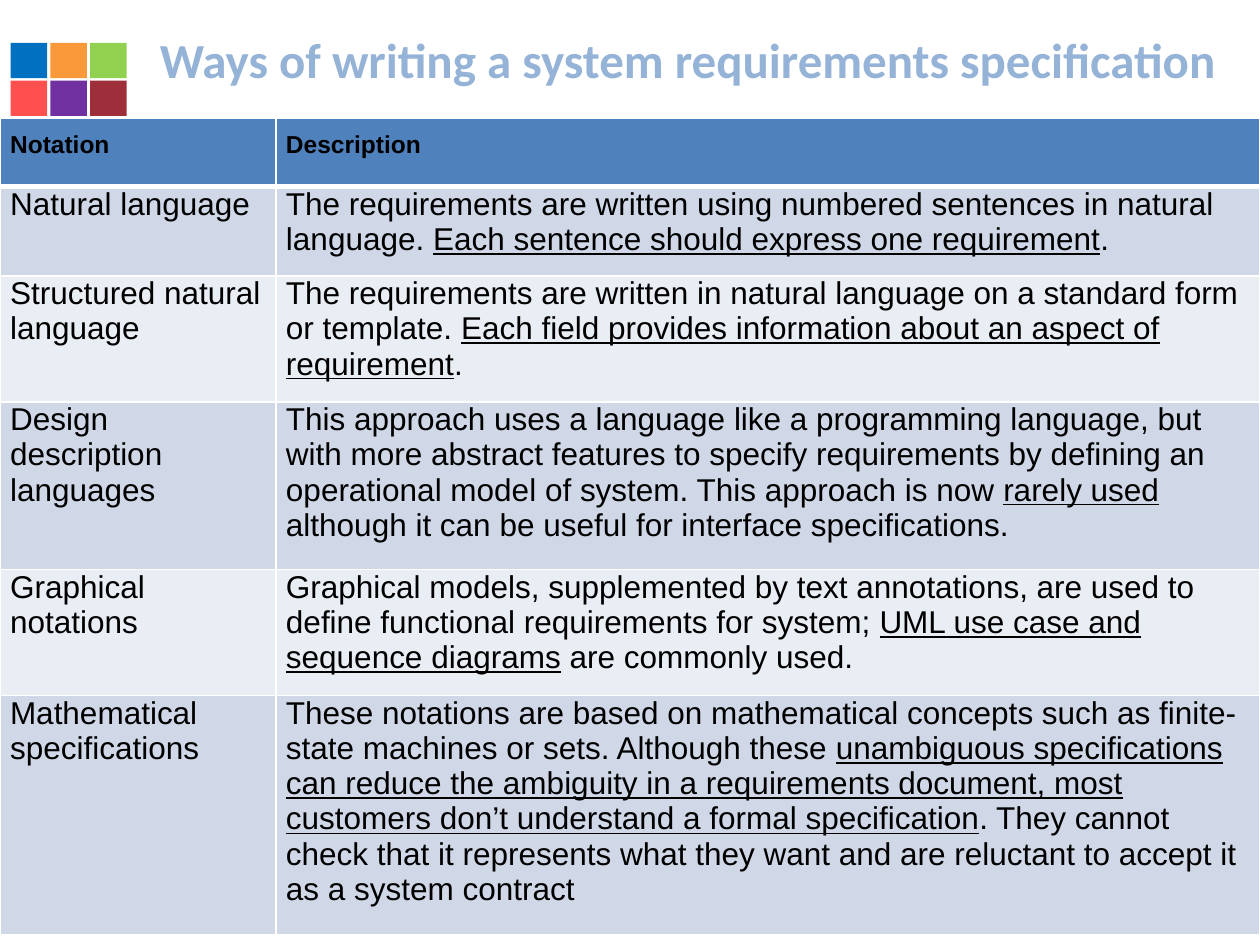
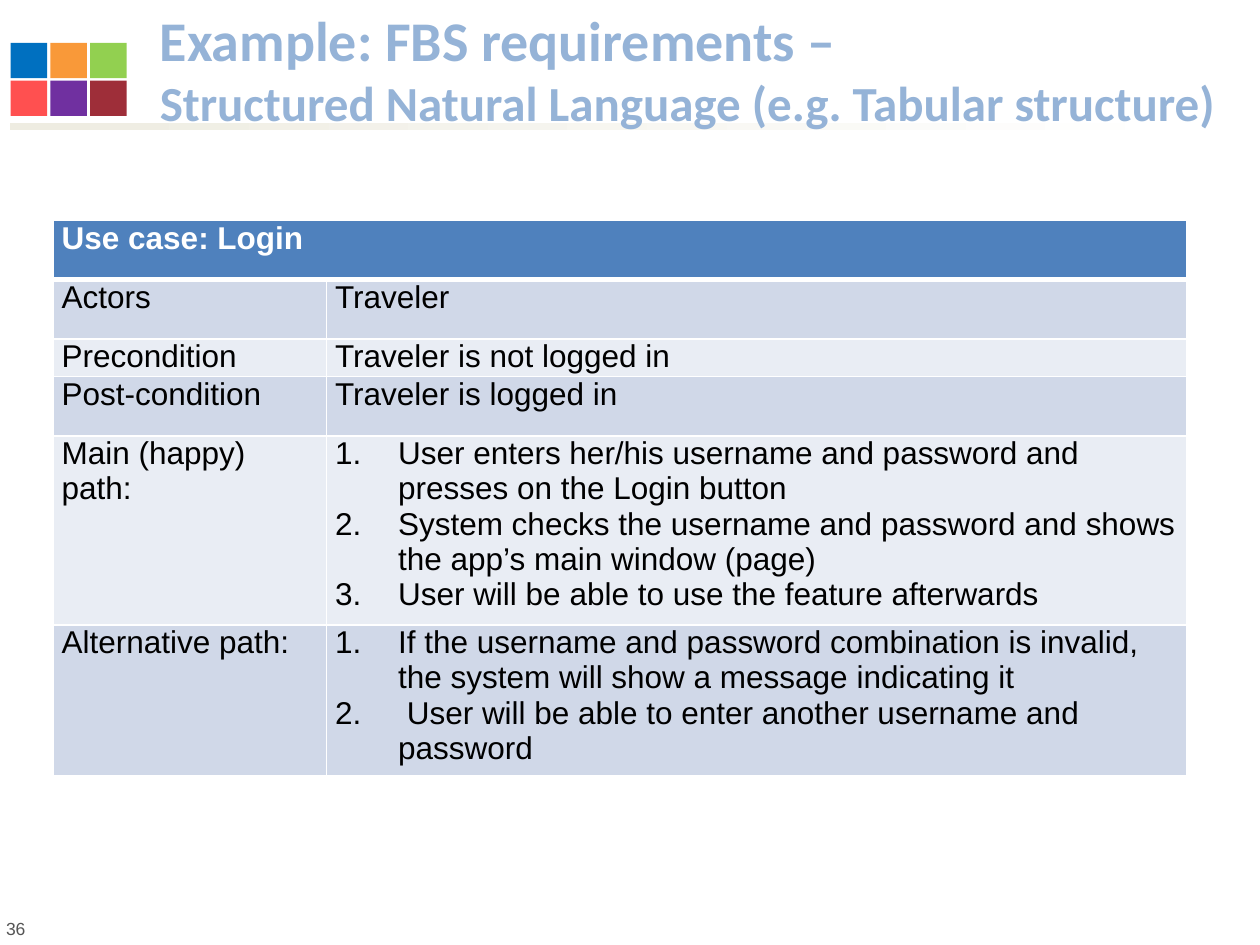
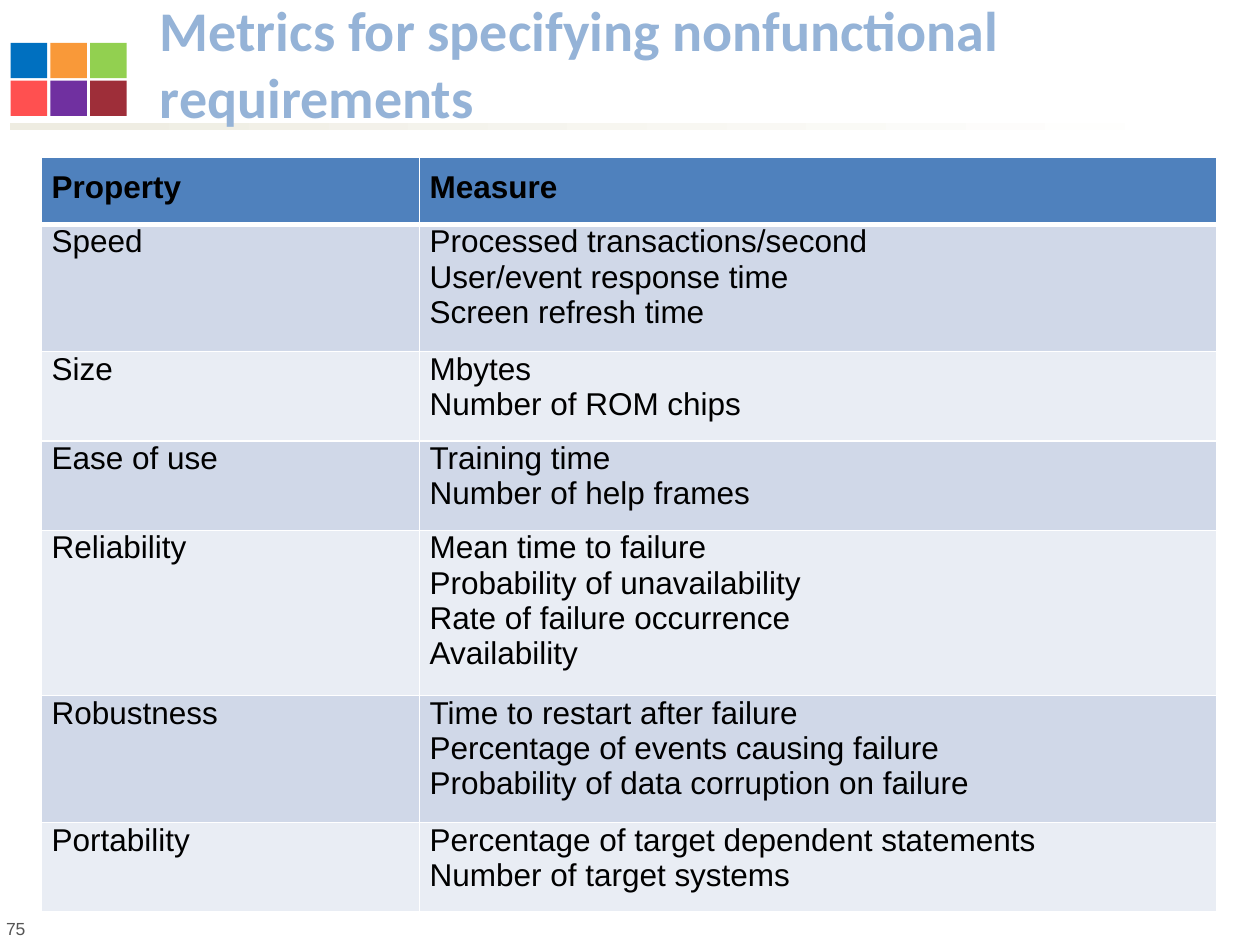
from dataclasses import dataclass
from typing import NamedTuple

from lxml.etree import SubElement
from pptx import Presentation
from pptx.dml.color import RGBColor
from pptx.enum.shapes import MSO_SHAPE
from pptx.enum.text import MSO_ANCHOR, PP_ALIGN
from pptx.oxml.ns import qn
from pptx.util import Inches, Pt

WHITE = RGBColor(0xFF, 0xFF, 0xFF)
BLACK = RGBColor(0x00, 0x00, 0x00)
GRAY = RGBColor(0x55, 0x55, 0x55)
TITLE_BLUE = RGBColor(0x95, 0xB3, 0xD7)
HEADER_BLUE = RGBColor(0x4F, 0x81, 0xBD)
DARK_ROW = RGBColor(0xD0, 0xD8, 0xE8)
LIGHT_ROW = RGBColor(0xE9, 0xED, 0xF4)
BAND_CREAM = RGBColor(0xEE, 0xEC, 0xE1)
SQUARE_ROWS = (
    (RGBColor(0x00, 0x70, 0xC0), RGBColor(0xF9, 0x99, 0x39), RGBColor(0x92, 0xD0, 0x50)),
    (RGBColor(0xFF, 0x50, 0x50), RGBColor(0x70, 0x30, 0xA0), RGBColor(0x9E, 0x2E, 0x39)),
)
BODY_FONT = "Arial"
TITLE_FONT = "Calibri"


class Box(NamedTuple):
    left: float
    top: float
    width: float
    height: float

    def lengths(self) -> list:
        return [Inches(value) for value in self]


class TitleLine(NamedTuple):
    text: str
    size: int


class Steps(NamedTuple):
    """Cell content shown as a numbered list."""
    lines: list


@dataclass
class TableSpec:
    left: float
    top: float
    column_widths: list
    row_heights: list
    rows: list
    side_inset: float = 0.08
    header_inset: float = 0.1
    bottom_inset: float = 0.1
    header_size: int = 18
    header_color: RGBColor = BLACK
    align: PP_ALIGN = PP_ALIGN.LEFT


@dataclass
class SlideSpec:
    number: int
    title: list
    title_box: Box
    table: TableSpec


def add_text(paragraph, text: str, *, size: int, color: RGBColor = BLACK,
             bold: bool = False, font: str = BODY_FONT) -> None:
    """Add runs; the parts between underscores are underlined."""
    for index, part in enumerate(text.split("_")):
        if not part:
            continue
        run = paragraph.add_run()
        run.text = part
        run.font.name = font
        run.font.size = Pt(size)
        run.font.bold = bold
        run.font.underline = index % 2 == 1
        run.font.color.rgb = color


def number_paragraph(paragraph) -> None:
    properties = paragraph._p.get_or_add_pPr()
    properties.set("marL", str(Inches(0.5)))
    properties.set("indent", str(-Inches(0.5)))
    SubElement(properties, qn("a:buFont"), typeface="+mj-lt")
    SubElement(properties, qn("a:buAutoNum"), type="arabicPeriod")


def add_text_box(slide, box: Box, anchor: MSO_ANCHOR = MSO_ANCHOR.TOP):
    """Add a wrapping text box and return its first paragraph."""
    frame = slide.shapes.add_textbox(*box.lengths()).text_frame
    frame.word_wrap = True
    frame.vertical_anchor = anchor
    return frame.paragraphs[0]


def add_rectangle(shapes, box: Box):
    shape = shapes.add_shape(MSO_SHAPE.RECTANGLE, *box.lengths())
    shape.shadow.inherit = False
    shape.line.fill.background()
    return shape


def add_decoration(slide, number: int) -> None:
    band = add_rectangle(slide.shapes, Box(0.08, 0.98, 9.48, 0.05))
    band.fill.gradient()
    band.fill.gradient_angle = 0
    for stop, color in zip(band.fill.gradient_stops, (BAND_CREAM, WHITE)):
        stop.color.rgb = color

    add_text(add_text_box(slide, Box(-0.05, 7.24, 5.8, 0.27)), str(number),
             size=10, color=GRAY)

    squares = slide.shapes.add_group_shape()
    for row, colors in enumerate(SQUARE_ROWS):
        for column, color in enumerate(colors):
            box = Box(0.085 + 0.315 * column, 0.34 + 0.3 * row, 0.29, 0.28)
            square = add_rectangle(squares.shapes, box)
            square.fill.solid()
            square.fill.fore_color.rgb = color


def add_title(slide, lines: list, box: Box) -> None:
    paragraph = add_text_box(slide, box, MSO_ANCHOR.BOTTOM)
    for index, line in enumerate(lines):
        if index:
            paragraph.add_line_break()
        add_text(paragraph, line.text, size=line.size, color=TITLE_BLUE,
                 bold=True, font=TITLE_FONT)


def set_borders(cell, top: int, bottom: int) -> None:
    """Draw white borders; top and bottom are widths in points."""
    properties = cell._tc.get_or_add_tcPr()
    for side, width in (("L", 1), ("R", 1), ("T", top), ("B", bottom)):
        line = SubElement(properties, qn(f"a:ln{side}"), w=str(Pt(width)))
        fill = SubElement(line, qn("a:solidFill"))
        SubElement(fill, qn("a:srgbClr"), val=str(WHITE))


def fill_cell(cell, content, row: int, spec: TableSpec) -> None:
    is_header = row == 0
    set_borders(cell, top=3 if row == 1 else 1, bottom=3 if is_header else 1)
    cell.fill.solid()
    cell.fill.fore_color.rgb = (
        HEADER_BLUE if is_header else DARK_ROW if row % 2 else LIGHT_ROW)
    cell.margin_left = cell.margin_right = Inches(spec.side_inset)
    cell.margin_top = Inches(spec.header_inset if is_header else 0)
    cell.margin_bottom = Inches(spec.bottom_inset)

    is_numbered = isinstance(content, Steps)
    lines = content.lines if is_numbered else content.split("\n")
    for index, line in enumerate(lines):
        frame = cell.text_frame
        paragraph = frame.add_paragraph() if index else frame.paragraphs[0]
        paragraph.alignment = spec.align
        if is_numbered:
            number_paragraph(paragraph)
        add_text(paragraph, line, size=spec.header_size if is_header else 18,
                 color=spec.header_color if is_header else BLACK, bold=is_header)


def add_table(slide, spec: TableSpec) -> None:
    """Draw the table; a row with one text is merged across all columns."""
    box = Box(spec.left, spec.top, sum(spec.column_widths), sum(spec.row_heights))
    table = slide.shapes.add_table(
        len(spec.rows), len(spec.column_widths), *box.lengths()).table
    for column, width in zip(table.columns, spec.column_widths):
        column.width = Inches(width)
    for row, height in zip(table.rows, spec.row_heights):
        row.height = Inches(height)
    last_column = len(spec.column_widths) - 1
    for row, contents in enumerate(spec.rows):
        if len(contents) == 1:
            table.cell(row, 0).merge(table.cell(row, last_column))
        for column, content in enumerate(contents):
            fill_cell(table.cell(row, column), content, row, spec)


NOTATIONS = TableSpec(
    left=0, top=0.94, column_widths=[2.19, 7.81],
    row_heights=[0.54, 0.71, 0.99, 1.33, 0.99, 1.81], header_size=14,
    rows=[
        ("Notation", "Description"),
        ("Natural language",
         "The requirements are written using numbered sentences in natural language. "
         "_Each sentence should express one requirement_."),
        ("Structured natural language",
         "The requirements are written in natural language on a standard form or "
         "template. _Each field provides information about an aspect of requirement_."),
        ("Design description languages",
         "This approach uses a language like a programming language, but with more "
         "abstract features to specify requirements by defining an operational model "
         "of system. This approach is now _rarely used_ although it can be useful for "
         "interface specifications."),
        ("Graphical notations",
         "Graphical models, supplemented by text annotations, are used to define "
         "functional requirements for system; _UML use case and sequence diagrams_ "
         "are commonly used."),
        ("Mathematical specifications",
         "These notations are based on mathematical concepts such as finite-state "
         "machines or sets. Although these _unambiguous specifications can reduce the "
         "ambiguity in a requirements document, most customers don’t understand a "
         "formal specification_. They cannot check that it represents what they want "
         "and are reluctant to accept it as a system contract"),
    ])

LOGIN_USE_CASE = TableSpec(
    left=0.42, top=1.75, column_widths=[2.17, 6.83],
    row_heights=[0.47, 0.47, 0.28, 0.47, 1.4, 1.12],
    side_inset=0.07, header_inset=0, bottom_inset=0, header_color=WHITE,
    rows=[
        ("Use case: Login",),
        ("Actors", "Traveler"),
        ("Precondition", "Traveler is not logged in"),
        ("Post-condition", "Traveler is logged in"),
        ("Main (happy) path:", Steps([
            "User enters her/his username and password and presses on the Login button",
            "System checks the username and password and shows the app’s main window "
            "(page)",
            "User will be able to use the feature afterwards"])),
        ("Alternative path:", Steps([
            "If the username and password combination is invalid, the system will show "
            "a message indicating it",
            " User will be able to enter another username and password"])),
    ])

METRICS = TableSpec(
    left=0.33, top=1.25, column_widths=[3, 6.33],
    row_heights=[0.53, 1.01, 0.71, 0.71, 1.31, 1.01, 0.71], align=PP_ALIGN.JUSTIFY,
    rows=[
        ("Property", "Measure"),
        ("Speed", "Processed transactions/second\nUser/event response time\n"
                  "Screen refresh time"),
        ("Size", "Mbytes\nNumber of ROM chips"),
        ("Ease of use", "Training time\nNumber of help frames"),
        ("Reliability", "Mean time to failure\nProbability of unavailability\n"
                        "Rate of failure occurrence\nAvailability"),
        ("Robustness", "Time to restart after failure\n"
                       "Percentage of events causing failure\n"
                       "Probability of data corruption on failure"),
        ("Portability", "Percentage of target dependent statements\n"
                        "Number of target systems"),
    ])

SLIDES = [
    SlideSpec(33, [TitleLine("Ways of writing a system requirements specification", 28)],
              Box(1.17, 0.32, 8.83, 0.43), NOTATIONS),
    SlideSpec(36, [TitleLine("Example: FBS requirements – ", 32),
                   TitleLine("Structured Natural Language (e.g. Tabular structure)", 28)],
              Box(1.17, 0.17, 8.67, 0.92), LOGIN_USE_CASE),
    SlideSpec(75, [TitleLine("Metrics for specifying nonfunctional requirements", 32)],
              Box(1.17, 0.4, 8.83, 0.68), METRICS),
]


def main() -> None:
    presentation = Presentation()
    presentation.slide_width = Inches(10)
    presentation.slide_height = Inches(7.5)
    blank_layout = presentation.slide_layouts[6]
    for spec in SLIDES:
        slide = presentation.slides.add_slide(blank_layout)
        add_decoration(slide, spec.number)
        add_title(slide, spec.title, spec.title_box)
        add_table(slide, spec.table)
    presentation.save("out.pptx")


if __name__ == "__main__":
    main()
